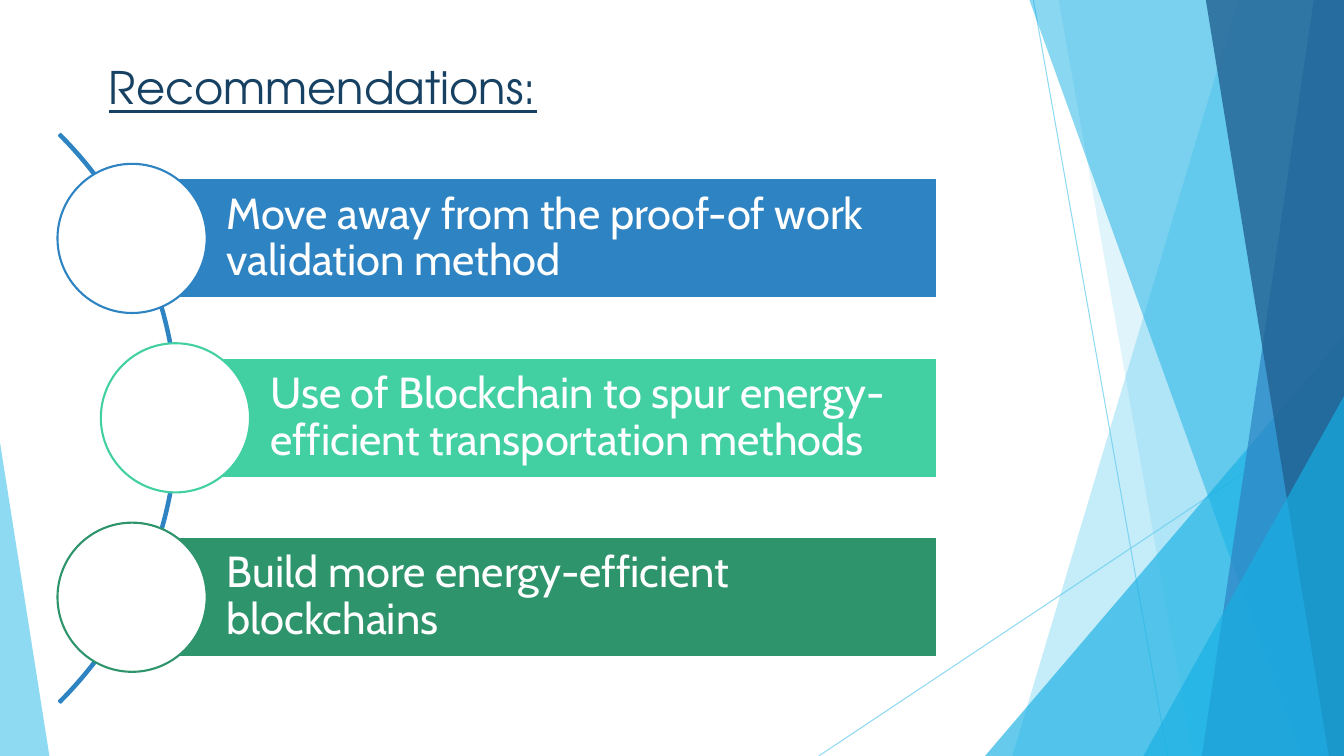
import pptx
import pptx.util
import pptx.dml.color
import pptx.enum.shapes
import pptx.enum.text
import pptx.oxml.ns
import lxml.etree

COLORS = {
    "sky": "5FCBEF",
    "cyan": "17B0E4",
    "blue": "2E83C3",
    "navy": "226292",
    "mint": "42D0A2",
    "green": "2E946B",
    "ink": "174162",
    "white": "FFFFFF",
}
SHAPE = pptx.enum.shapes.MSO_SHAPE
CELL = pptx.util.Inches(0.01)
COLUMNS, ROWS = 1333, 750


def paint(color_format, color, opacity=100):
    color_format.solid()
    color_format.fore_color.rgb = pptx.dml.color.RGBColor.from_string(COLORS[color])
    if opacity < 100:
        tint = color_format._xPr.find(".//" + pptx.oxml.ns.qn("a:srgbClr"))
        alpha = lxml.etree.SubElement(tint, pptx.oxml.ns.qn("a:alpha"))
        alpha.set("val", str(opacity * 1000))


def add_block(kind, left, top, width, height):
    block = slide.shapes.add_shape(kind, *(CELL * n for n in (left, top, width, height)))
    block.shadow.inherit = False
    return block


deck = pptx.Presentation()
deck.slide_width = CELL * COLUMNS
deck.slide_height = CELL * ROWS
slide = deck.slides.add_slide(deck.slide_layouts.get_by_name("Title Only"))

for start_x, start_y, end_x in [(1025, 0, 1158), (COLUMNS, 403, 812)]:
    ray = slide.shapes.add_connector(
        pptx.enum.shapes.MSO_CONNECTOR.STRAIGHT,
        CELL * start_x, CELL * start_y, CELL * end_x, CELL * ROWS)
    ray.line.width = pptx.util.Pt(0.75)
    paint(ray.line.fill, "sky", 70)
    properties = ray._element.spPr
    lxml.etree.SubElement(properties, pptx.oxml.ns.qn("a:effectLst"))

facets = [
    ("band", 1228, 1004, "sky", 36),
    ("band", 1050, 1183, "sky", 20),
    ("right corner", 977, 333, "cyan", 66),
    ("band", 1021, 1291, "cyan", 50),
    ("band", 1303, 1192, "blue", 70),
    ("band", 1196, 1318, "navy", 80),
    ("right corner", 1134, 393, "cyan", 66),
    ("left corner", 49, 439, "sky", 70),
]
for form, first, second, color, opacity in facets:
    if form == "band":
        outline = slide.shapes.build_freeform(first, 0, scale=CELL)
        outline.add_line_segments([(COLUMNS, 0), (COLUMNS, ROWS), (second, ROWS)])
        facet = outline.convert_to_shape()
        facet.shadow.inherit = False
    elif form == "right corner":
        facet = add_block(SHAPE.ISOSCELES_TRIANGLE, first, second, COLUMNS - first, ROWS - second)
        facet.adjustments[0] = 1
    else:
        facet = add_block(SHAPE.ISOSCELES_TRIANGLE, 0, second, first, ROWS - second)
        facet.adjustments[0] = 0
    paint(facet.fill, color, opacity)
    facet.line.fill.background()

heading = slide.shapes.title
heading.left, heading.top = CELL * 98, CELL * 54
heading.width, heading.height = CELL * 704, CELL * 64
heading.text_frame.auto_size = pptx.enum.text.MSO_AUTO_SIZE.SHAPE_TO_FIT_TEXT
heading.text_frame.vertical_anchor = pptx.enum.text.MSO_ANCHOR.TOP
heading_line = heading.text_frame.paragraphs[0]
heading_line.alignment = pptx.enum.text.PP_ALIGN.LEFT
heading_run = heading_line.add_run()
heading_run.text = "Recommendations:"
heading_run.font.name = "TeX Gyre Adventor"
heading_run.font.size = pptx.util.Pt(32)
heading_run.font.underline = True
paint(heading_run.font.fill, "ink")

arc = add_block(SHAPE.BLOCK_ARC, -621, 16, 798, 798)
for index, value in enumerate((189, 27, 0.003)):
    arc.adjustments[index] = value
arc.fill.background()
arc.line.width = pptx.util.Pt(1.5)
paint(arc.line.fill, "blue")

BAR_RIGHT, BAR_TOP, BAR_HEIGHT, BAR_STEP = 929, 177, 119, 178
CIRCLE = 148
recommendations = [
    ("Move away from the proof-of work validation method", 131, "blue"),
    ("Use of Blockchain to spur energy-efficient transportation methods", 174, "mint"),
    ("Build more energy-efficient blockchains", 131, "green"),
]
for row, (wording, bar_left, color) in enumerate(recommendations):
    bar_top = BAR_TOP + row * BAR_STEP
    bar = add_block(SHAPE.RECTANGLE, bar_left, bar_top, BAR_RIGHT - bar_left, BAR_HEIGHT)
    circle = add_block(SHAPE.OVAL, bar_left - CIRCLE / 2, bar_top + (BAR_HEIGHT - CIRCLE) / 2,
                       CIRCLE, CIRCLE)
    for part, inside, edge in [(bar, color, "white"), (circle, "white", color)]:
        paint(part.fill, inside)
        paint(part.line.fill, edge)
        part.line.width = pptx.util.Pt(1.5)

    frame = bar.text_frame
    frame.word_wrap = True
    frame.vertical_anchor = pptx.enum.text.MSO_ANCHOR.MIDDLE
    frame.margin_left = CELL * 94
    frame.margin_top = frame.margin_right = frame.margin_bottom = CELL * 9
    advice = frame.paragraphs[0]
    advice.alignment = pptx.enum.text.PP_ALIGN.LEFT
    advice.line_spacing = 0.9
    advice_run = advice.add_run()
    advice_run.text = wording
    advice_run.font.name = "Cabin"
    advice_run.font.size = pptx.util.Pt(31)
    paint(advice_run.font.fill, "white")

deck.save("out.pptx")
